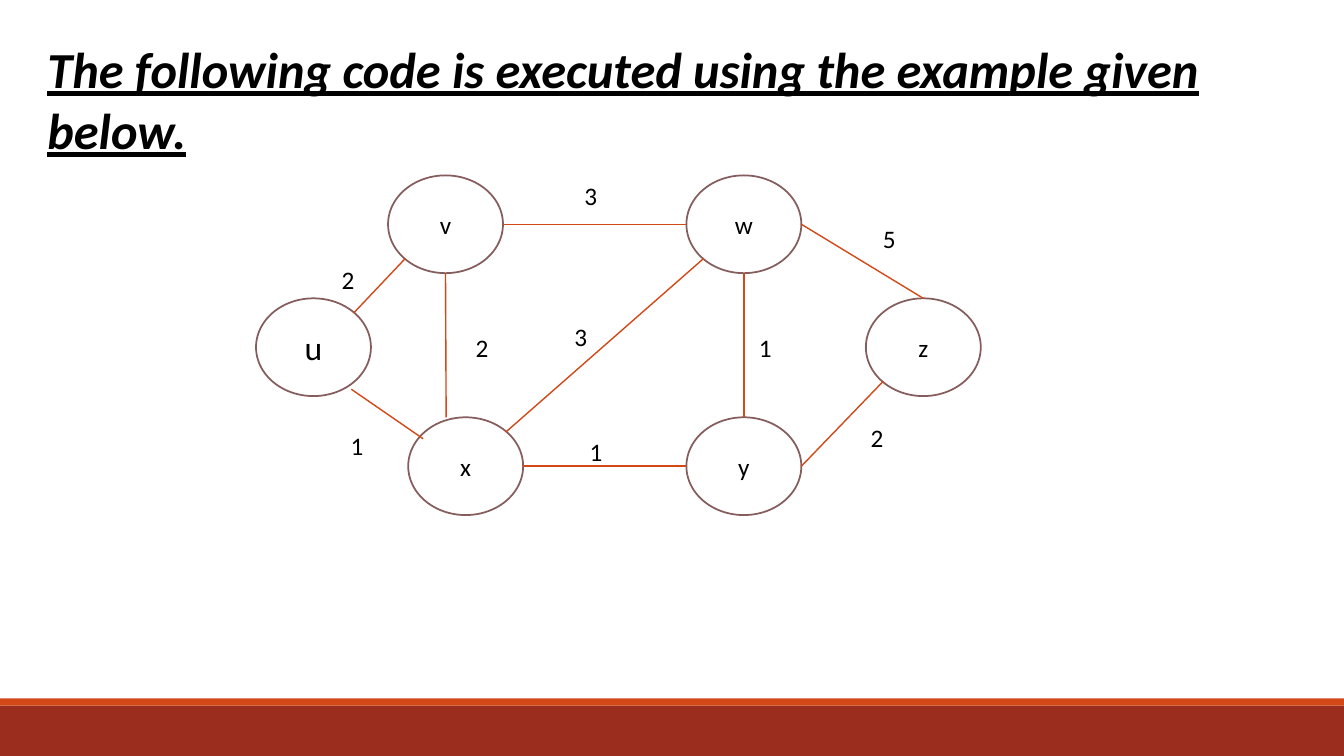
import collections

import pptx
import pptx.dml.color
import pptx.enum.shapes
import pptx.enum.text
import pptx.oxml
import pptx.oxml.ns
import pptx.util

Box = collections.namedtuple("Box", "column row columns rows")

COLUMNS, ROWS = 133.33, 75
NODE_COLUMNS, NODE_ROWS = 11.4, 9.7
FONT = "Calibri"
BLACK, WHITE, ORANGE, BRICK, MAUVE = "000000", "FFFFFF", "D34817", "9B2D1F", "855D5D"
SHAPES = pptx.enum.shapes.MSO_SHAPE

TOP, BOTTOM, LEFT, RIGHT = (0.5, 0), (0.5, 1), (0, 0.5), (1, 0.5)
TOP_RIGHT, BOTTOM_LEFT = (0.85, 0.15), (0.15, 0.85)

NODES = {
    "u": (0, 12.2, 24),
    "v": (13.1, 0, 18),
    "x": (15.1, 24, 18),
    "w": (42.7, 0, 18),
    "y": (42.7, 24, 18),
    "z": (60.5, 12.2, 18),
}
EDGES = [
    ("u", (0.83, 0.93), "x", (0.13, 0.22)),
    ("u", TOP_RIGHT, "v", BOTTOM_LEFT),
    ("v", RIGHT, "w", LEFT),
    ("x", RIGHT, "y", LEFT),
    ("y", RIGHT, "z", BOTTOM_LEFT),
    ("w", RIGHT, "z", TOP),
    ("v", BOTTOM, "x", (0.33, 0)),
    ("w", BOTTOM, "y", TOP),
    ("x", TOP_RIGHT, "w", BOTTOM_LEFT),
]
WEIGHTS = [
    ("2", 7.5, 8.3, 3.9),
    ("1", 8.4, 24.8, 3.9),
    ("2", 20.8, 15.1, 3.7),
    ("3", 31.6, 0, 3),
    ("3", 30.6, 14, 3),
    ("1", 32.1, 25.4, 3.9),
    ("1", 48.9, 15.1, 3.3),
    ("5", 61.2, 4.3, 2),
    ("2", 60, 24, 3.7),
]


def color(hex_string):
    """Turn a hex string into a colour."""
    return pptx.dml.color.RGBColor.from_string(hex_string)


def grid(cells):
    """Turn grid cells, ten to the inch, into a length."""
    return pptx.util.Inches(cells / 10)


def within(box, column, row, columns, rows):
    """Return a box placed relative to the corner of another."""
    return Box(box.column + column, box.row + row, columns, rows)


def write(frame, wording, size):
    """Write one run into the first paragraph of a text frame."""
    run = frame.paragraphs[0].add_run()
    run.text = wording
    run.font.name = FONT
    run.font.size = pptx.util.Pt(size)
    run.font.color.rgb = color(BLACK)
    return run


def draw(slide, preset, box, fill):
    """Add a flat filled shape without an outline."""
    shape = slide.shapes.add_shape(preset, *map(grid, box))
    shape.shadow.inherit = False
    shape.fill.solid()
    shape.fill.fore_color.rgb = color(fill)
    shape.line.fill.background()
    return shape


def add_footer(slide, box):
    """Stack the thin orange stripe on the brick band."""
    stripe_rows = 0.7
    band_rows = box.rows - stripe_rows
    draw(slide, SHAPES.RECTANGLE, within(box, 0, stripe_rows, box.columns, band_rows), BRICK)
    draw(slide, SHAPES.RECTANGLE, within(box, 0, 0, box.columns, stripe_rows), ORANGE)


def add_heading(slide, box, wording):
    """Move, fill and format the title placeholder."""
    heading = slide.shapes.title
    heading.left, heading.top, heading.width, heading.height = map(grid, box)
    frame = heading.text_frame
    frame.word_wrap = True
    frame.auto_size = pptx.enum.text.MSO_AUTO_SIZE.SHAPE_TO_FIT_TEXT
    frame.vertical_anchor = pptx.enum.text.MSO_ANCHOR.TOP
    frame.paragraphs[0].alignment = pptx.enum.text.PP_ALIGN.LEFT
    font = write(frame, wording, 36).font
    font.bold = font.italic = font.underline = True


def add_node(slide, box, letter, size):
    """Draw a lettered graph node."""
    node = draw(slide, SHAPES.OVAL, box, WHITE)
    node.line.color.rgb = color(MAUVE)
    node.line.width = pptx.util.Pt(1.25)
    frame = node.text_frame
    frame.vertical_anchor = pptx.enum.text.MSO_ANCHOR.MIDDLE
    frame.paragraphs[0].alignment = pptx.enum.text.PP_ALIGN.CENTER
    write(frame, letter, size)


def site(box, share):
    """Return the point at a share of a box's width and height."""
    across, down = share
    return grid(box.column + across * box.columns), grid(box.row + down * box.rows)


def add_edge(slide, start, end):
    """Draw a graph edge between two points."""
    edge = slide.shapes.add_connector(
        pptx.enum.shapes.MSO_CONNECTOR.STRAIGHT, *start, *end)
    edge.line.color.rgb = color(ORANGE)
    edge.line.width = pptx.util.Pt(1)
    properties = edge._element.spPr
    properties.append(pptx.oxml.parse_xml(
        "<a:effectLst %s/>" % pptx.oxml.ns.nsdecls("a")))


def add_weight(slide, box, weight):
    """Write the weight of an edge."""
    frame = slide.shapes.add_textbox(*map(grid, box)).text_frame
    frame.word_wrap = True
    frame.auto_size = pptx.enum.text.MSO_AUTO_SIZE.SHAPE_TO_FIT_TEXT
    write(frame, weight, 18)


def add_graph(slide, box):
    """Place the nodes, edges and weights of the graph in a box."""
    places = {}
    for letter, (column, row, size) in NODES.items():
        places[letter] = within(box, column, row, NODE_COLUMNS, NODE_ROWS)
        add_node(slide, places[letter], letter, size)
    for first, leaving, second, arriving in EDGES:
        add_edge(slide, site(places[first], leaving), site(places[second], arriving))
    for weight, column, row, columns in WEIGHTS:
        add_weight(slide, within(box, column, row, columns, 4), weight)


def main():
    """Build and save the slide."""
    deck = pptx.Presentation()
    deck.slide_width, deck.slide_height = grid(COLUMNS), grid(ROWS)
    slide = deck.slides.add_slide(deck.slide_layouts.get_by_name("Title Only"))
    slide.background.fill.solid()
    slide.background.fill.fore_color.rgb = color(WHITE)
    add_footer(slide, Box(0, 69.3, COLUMNS, 5.7))
    add_heading(slide, Box(3.7, 3.3, 128.8, 7.1),
                "The following code is executed using the example given below.")
    add_graph(slide, Box(25.4, 17.4, 71.9, 33.7))
    deck.save("out.pptx")


main()
